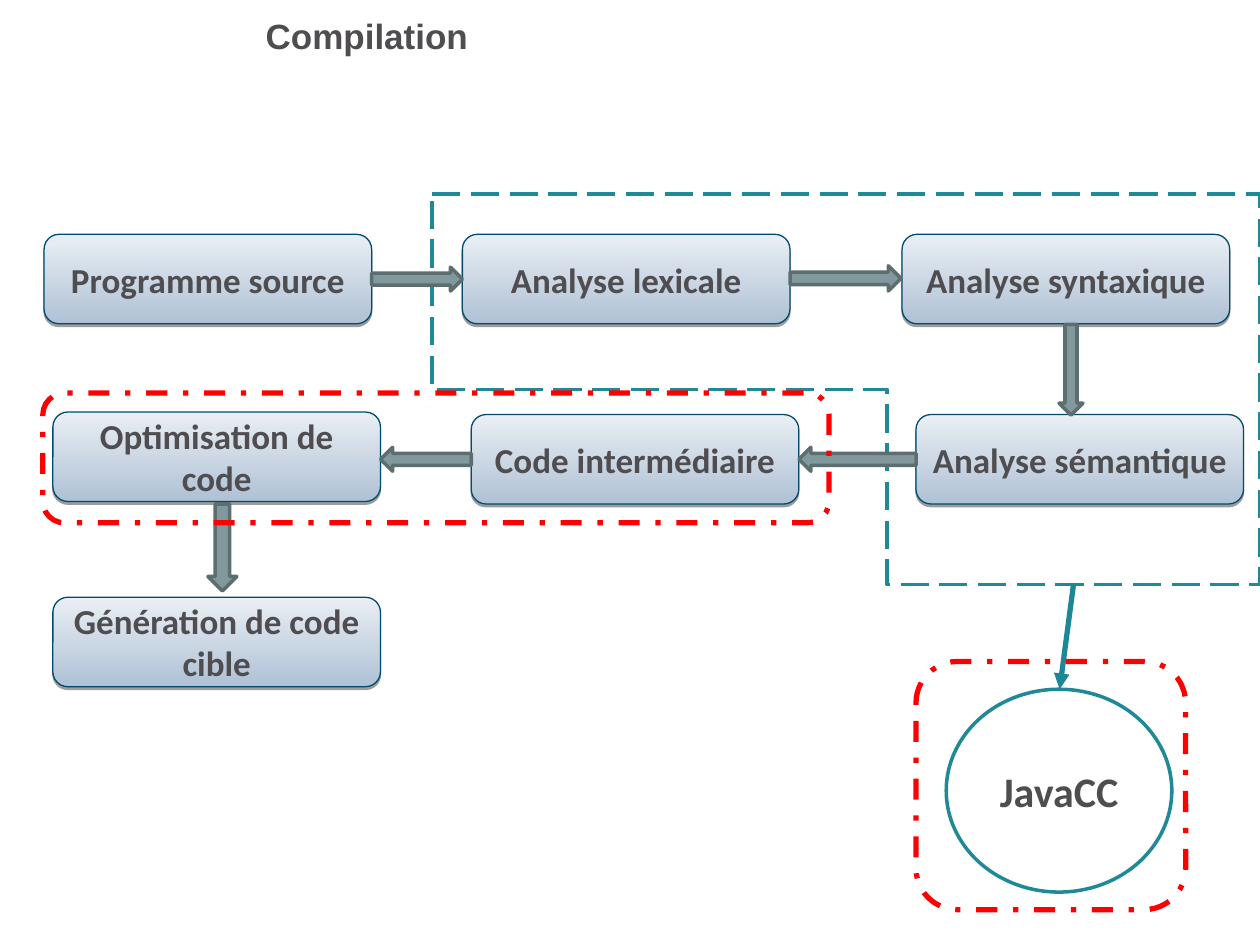
"""Build the slide that shows the phases of a compiler."""
from lxml.etree import SubElement
from pptx import Presentation
from pptx.dml.color import RGBColor
from pptx.enum.dml import MSO_LINE
from pptx.enum.shapes import MSO_CONNECTOR, MSO_SHAPE
from pptx.enum.text import MSO_ANCHOR, PP_ALIGN
from pptx.oxml.ns import qn
from pptx.util import Pt

SCALE = 9144
COLORS = {
    "text": "4F4D50", "white": "FFFFFF", "teal": "208998", "link": "1C8897",
    "low": "AFC1D5", "high": "EAEFF4", "edge": "004C6F", "shade": "000000",
    "arrow": "81989C", "rim": "5D6E71", "red": "FF0000",
}


def color(name):
    return RGBColor.from_string(COLORS[name])


class Sketch:
    def __init__(self, slide):
        self.slide = slide

    def shape(self, kind, place):
        item = self.slide.shapes.add_shape(kind, *(n * SCALE for n in place))
        item.shadow.inherit = False
        return item

    def fill(self, item, name):
        item.fill.solid()
        item.fill.fore_color.rgb = color(name)

    def line(self, item, name, width, dash=None):
        item.line.color.rgb = color(name)
        item.line.width = Pt(width)
        if dash:
            item.line.dash_style = dash

    def text(self, item, words, size, face="Calibri", align=PP_ALIGN.CENTER):
        frame = item.text_frame
        frame.word_wrap = True
        frame.text = words
        para = frame.paragraphs[0]
        para.alignment = align
        font = para.runs[0].font
        font.name, font.size, font.bold = face, Pt(size), True
        font.color.rgb = color("text")
        return frame

    def title(self, place, words):
        item = self.slide.shapes.add_textbox(*(n * SCALE for n in place))
        frame = self.text(item, words, 20, "Arial", PP_ALIGN.LEFT)
        frame.paragraphs[0].line_spacing = 0.8

    def area(self, points):
        first, *rest = points
        path = self.slide.shapes.build_freeform(*first, scale=SCALE)
        path.add_line_segments(rest, close=True)
        item = path.convert_to_shape()
        item.shadow.inherit = False
        self.fill(item, "white")
        self.line(item, "teal", 2, MSO_LINE.LONG_DASH)

    def step(self, left, top, words):
        item = self.shape(MSO_SHAPE.ROUNDED_RECTANGLE, (left, top, 260, 71))
        item.fill.gradient()
        item.fill.gradient_angle = 90
        for stop, name in zip(item.fill.gradient_stops, ("low", "high")):
            stop.color.rgb = color(name)
        self.line(item, "edge", 0.75)
        self.shade(item)
        self.text(item, words, 20).vertical_anchor = MSO_ANCHOR.MIDDLE

    def shade(self, item):
        effect = item._element.spPr.find(qn("a:effectLst"))
        cast = SubElement(effect, qn("a:outerShdw"), dist=str(Pt(1.6)),
                          dir="5400000", rotWithShape="0")
        tint = SubElement(cast, qn("a:srgbClr"), val=COLORS["shade"])
        SubElement(tint, qn("a:alpha"), val="38000")

    def arrow(self, place, turn=0):
        item = self.shape(MSO_SHAPE.RIGHT_ARROW, place)
        item.rotation = turn
        self.fill(item, "arrow")
        self.line(item, "rim", 2)

    def circle(self, place, words):
        item = self.shape(MSO_SHAPE.OVAL, place)
        self.fill(item, "white")
        self.line(item, "teal", 2)
        self.text(item, words, 24).vertical_anchor = MSO_ANCHOR.MIDDLE

    def link(self, ends):
        item = self.slide.shapes.add_connector(
            MSO_CONNECTOR.STRAIGHT, *(n * SCALE for n in ends))
        self.line(item, "link", 3)
        SubElement(item.line._get_or_add_ln(), qn("a:tailEnd"), type="triangle")
        SubElement(item._element.spPr, qn("a:effectLst"))

    def frame(self, place):
        item = self.shape(MSO_SHAPE.ROUNDED_RECTANGLE, place)
        item.fill.background()
        self.line(item, "red", 3, MSO_LINE.DASH_DOT)


def main():
    deck = Presentation()
    deck.slide_width, deck.slide_height = 1000 * SCALE, 750 * SCALE
    art = Sketch(deck.slides.add_slide(deck.slide_layouts[6]))

    art.area([(343, 154), (1000, 154), (1000, 464),
              (704, 464), (704, 309), (343, 309)])
    art.title((201, 13, 504, 46), "Compilation")

    for left, top, words in (
        (35, 186, "Programme source"),
        (727, 329, "Analyse sémantique"),
        (367, 186, "Analyse lexicale"),
        (716, 186, "Analyse syntaxique"),
        (374, 329, "Code intermédiaire"),
        (42, 327, "Optimisation de code"),
        (42, 474, "Génération de code cible"),
    ):
        art.step(left, top, words)

    for place, turn in (
        ((295, 212, 72, 19), 0),
        ((627, 211, 88, 20), 0),
        ((302, 355, 72, 19), 180),
        ((634, 355, 93, 19), 180),
        ((142, 423, 69, 23), 90),
        ((814, 284, 72, 19), 90),
    ):
        art.arrow(place, turn)

    art.circle((751, 547, 179, 161), "JavaCC")
    art.link((852, 464, 841, 547))
    art.frame((727, 525, 214, 197))
    art.frame((34, 312, 624, 103))
    deck.save("out.pptx")


if __name__ == "__main__":
    main()
